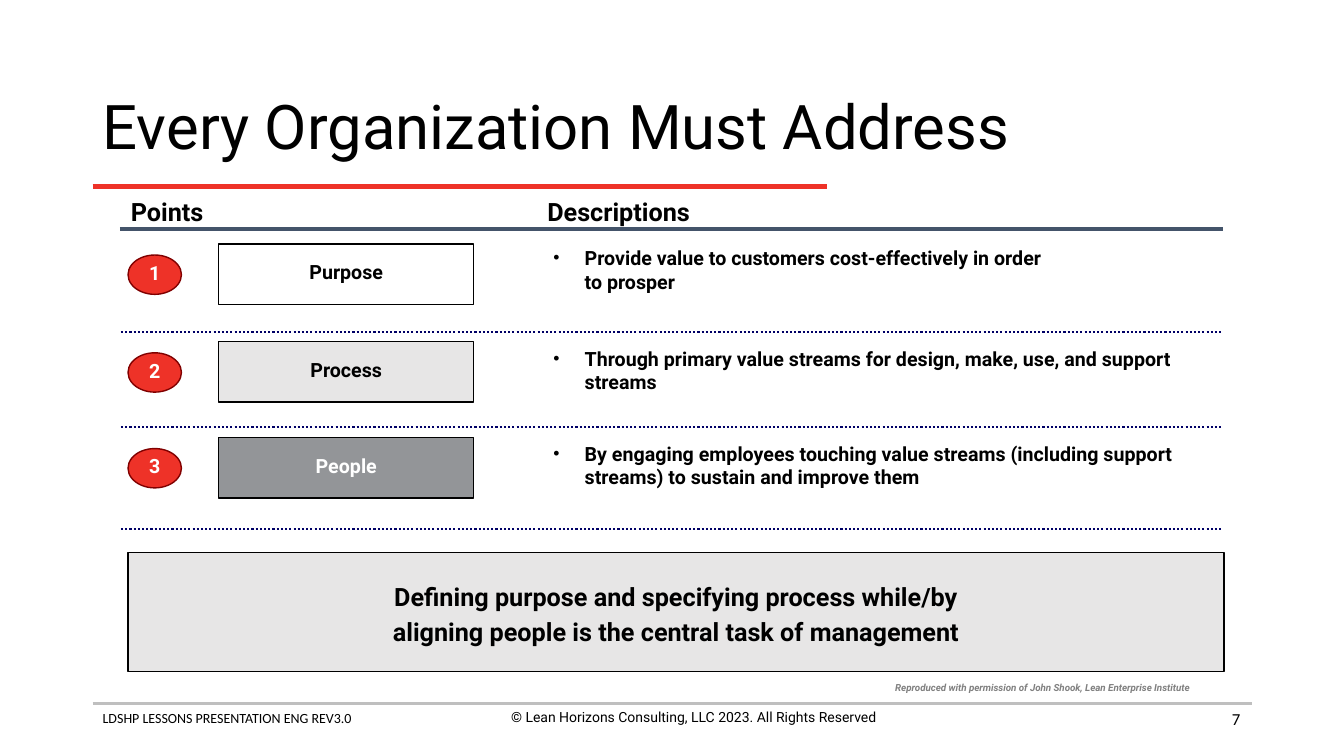
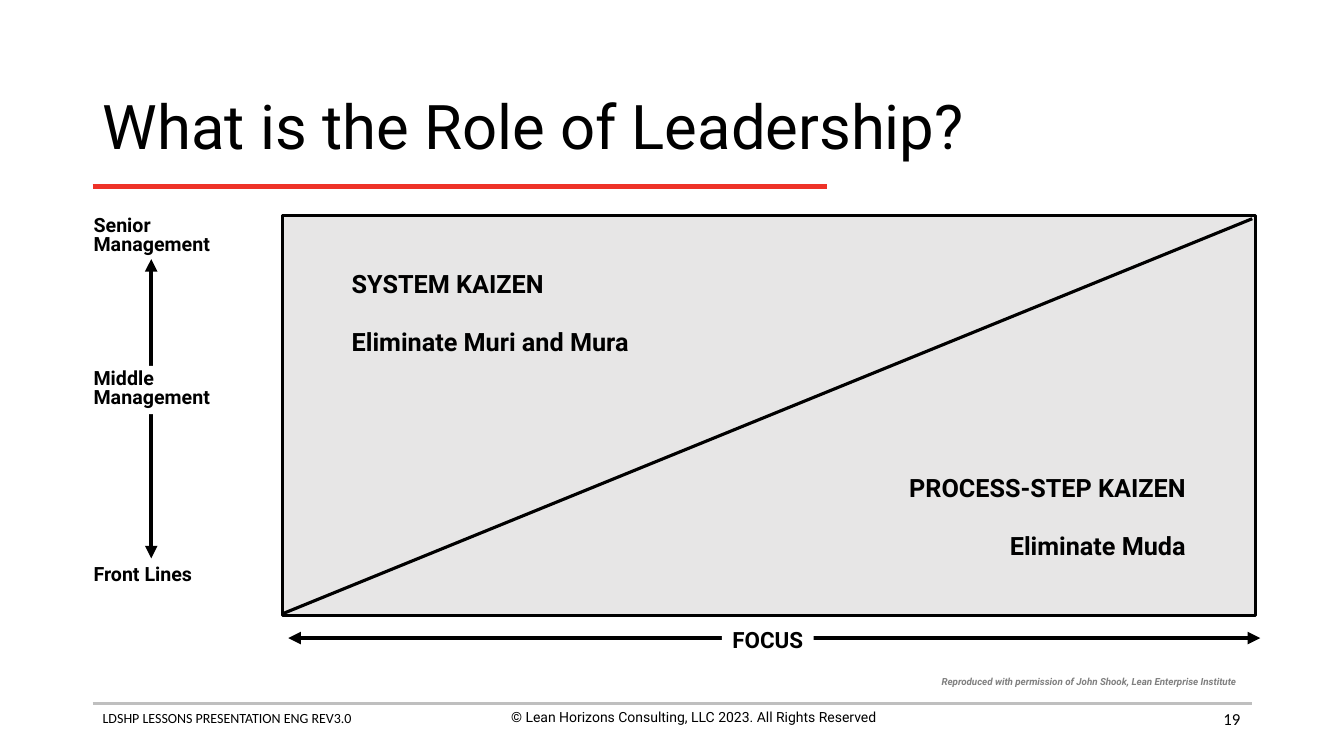
from lxml.etree import SubElement
from pptx import Presentation
from pptx.dml.color import RGBColor
from pptx.enum.dml import MSO_LINE as Dash
from pptx.enum.shapes import MSO_CONNECTOR as Connector, MSO_SHAPE as Shape
from pptx.enum.text import MSO_ANCHOR as Anchor, PP_ALIGN as Align
from pptx.oxml.ns import qn
from pptx.util import Inches, Pt

COLORS = {
    "black": "000000",
    "white": "FFFFFF",
    "red": "EE3228",
    "maroon": "800000",
    "navy": "000066",
    "slate": "44546A",
    "light": "E7E6E6",
    "gray": "939598",
    "rule": "BFBFBF",
    "note": "808080",
}
INSETS = (0.1, 0.05, 0.1, 0.05)
LABEL_INSETS = (0.1, 0.05, 0, 0.05)
NO_INSETS = (0, 0, 0, 0)


def rgb(name):
    return RGBColor.from_string(COLORS[name])


def set_bullet(para, hang):
    props = para._p.get_or_add_pPr()
    props.set("marL", str(Inches(hang)))
    props.set("indent", str(-Inches(hang)))
    color = SubElement(props, qn("a:buClr"))
    SubElement(color, qn("a:srgbClr"), val=COLORS["black"])
    SubElement(props, qn("a:buSzPct"), val="90000")
    SubElement(props, qn("a:buFont"), typeface="Arial")
    SubElement(props, qn("a:buChar"), char="•")


def write(box, texts, size, color="black", font="Roboto", bold=True, italic=False,
          align=Align.LEFT, anchor=Anchor.TOP, spacing=0.8, gap=0,
          insets=INSETS, bullet=None):
    frame = box.text_frame
    frame.word_wrap = True
    frame.vertical_anchor = anchor
    (frame.margin_left, frame.margin_top,
     frame.margin_right, frame.margin_bottom) = map(Inches, insets)
    for index, text in enumerate(texts):
        para = frame.add_paragraph() if index else frame.paragraphs[0]
        if bullet:
            set_bullet(para, bullet)
        para.alignment = align
        para.line_spacing = spacing
        if index:
            para.space_before = Pt(gap)
        for row, line in enumerate(text.split("\n")):
            if row:
                para.add_line_break()
            span = para.add_run()
            span.text = line
            span.font.name = font
            span.font.size = Pt(size)
            span.font.bold = bold
            span.font.italic = italic
            span.font.color.rgb = rgb(color)


def add_text(page, area, texts, size, **style):
    box = page.shapes.add_textbox(*map(Inches, area))
    write(box, texts, size, **style)


def add_box(page, kind, area, fill, outline=None, width=1):
    box = page.shapes.add_shape(kind, *map(Inches, area))
    box.shadow.inherit = False
    box.fill.solid()
    box.fill.fore_color.rgb = rgb(fill)
    if outline:
        box.line.color.rgb = rgb(outline)
        box.line.width = Pt(width)
    else:
        box.line.fill.background()
    return box


def add_line(page, start, end, color, width, dash=None, arrows=False):
    line = page.shapes.add_connector(Connector.STRAIGHT, *map(Inches, start + end))
    line.line.color.rgb = rgb(color)
    line.line.width = Pt(width)
    if dash:
        line.line.dash_style = dash
    props = line.element.spPr
    if arrows:
        for tag in ("a:headEnd", "a:tailEnd"):
            SubElement(props.find(qn("a:ln")), qn(tag), type="triangle")
    SubElement(props, qn("a:effectLst"))


def add_page(deck, title, number):
    page = deck.slides.add_slide(deck.slide_layouts[6])
    add_line(page, (0.92, 6.98), (12.42, 6.98), "rule", 2)
    add_text(page, (0.92, 6.99, 4.56, 0.27), ["LDSHP LESSONS PRESENTATION ENG REV3.0"],
             10, font="Calibri", bold=False, spacing=1)
    add_text(page, (4.6, 6.98, 4.56, 0.44),
             ["© Lean Horizons Consulting, LLC 2023. All Rights Reserved"],
             10, bold=False, align=Align.CENTER, spacing=1)
    add_line(page, (0.92, 1.85), (8.2, 1.85), "red", 3)
    add_text(page, (0.92, 0.74, 11.5, 1.1), [title], 44, bold=False,
             anchor=Anchor.MIDDLE, spacing=0.9)
    add_text(page, (9.4, 6.93, 3, 0.4), [number], 12, font="Calibri", bold=False,
             align=Align.RIGHT, anchor=Anchor.MIDDLE, spacing=1)
    return page


def add_credit(page, left, top):
    add_text(page, (left, top, 3.22, 0.2),
             ["Reproduced with permission of John Shook, Lean Enterprise Institute"],
             7, color="note", italic=True)


def add_point(page, number, name, fill, color, top, text_top, rule_top, description):
    centered = {"align": Align.CENTER, "anchor": Anchor.MIDDLE}
    card = add_box(page, Shape.RECTANGLE, (2.17, top, 2.53, 0.6), fill, "black")
    write(card, [name], 14, color=color, **centered)
    badge = add_box(page, Shape.OVAL, (1.27, top + 0.11, 0.53, 0.39), "red", "maroon")
    write(badge, [str(number)], 14, color="white", insets=NO_INSETS, **centered)
    add_text(page, (5.41, text_top, 6.6, 0.55), [description], 14, spacing=1,
             insets=(0.08, 0.04, 0.08, 0.04), bullet=0.31)
    add_line(page, (1.2, rule_top), (12.12, rule_top), "navy", 1.5, dash=Dash.ROUND_DOT)


def build_points(deck):
    page = add_page(deck, "Every Organization Must Address", "7")
    for left, heading in ((1.2, "Points"), (5.33, "Descriptions")):
        add_text(page, (left, 1.96, 2.5, 0.35), [heading], 18)
    add_line(page, (1.19, 2.27), (12.13, 2.27), "slate", 3)
    points = [
        ("Purpose", "white", "black", 2.42, 2.4, 3.29,
         "Provide value to customers cost-effectively in order\nto prosper"),
        ("Process", "light", "black", 3.39, 3.4, 4.24,
         "Through primary value streams for design, make, use, and support streams"),
        ("People", "gray", "white", 4.34, 4.34, 5.25,
         "By engaging employees touching value streams (including support streams) "
         "to sustain and improve them"),
    ]
    for number, point in enumerate(points, 1):
        add_point(page, number, *point)
    summary = add_box(page, Shape.RECTANGLE, (1.27, 5.48, 10.87, 1.18), "light", "black")
    write(summary, ["Defining purpose and specifying process while/by\n"
                    "aligning people is the central task of management"],
          18, align=Align.CENTER, anchor=Anchor.MIDDLE, spacing=1.15)
    add_credit(page, 8.78, 6.74)


def build_leadership(deck):
    page = add_page(deck, "What is the Role of Leadership?", "19")
    add_box(page, Shape.RECTANGLE, (2.8, 2.14, 9.65, 3.97), "light", "black", 2.25)
    add_line(page, (2.8, 6.09), (12.42, 2.17), "black", 2.25)
    add_line(page, (1.5, 2.57), (1.5, 5.54), "black", 3, arrows=True)
    add_line(page, (2.86, 6.33), (12.5, 6.33), "black", 3, arrows=True)
    for top, height, level in ((2.11, 0.48, "Senior\nManagement"),
                               (5.57, 0.29, "Front Lines")):
        add_text(page, (0.83, top, 1.37, height), [level], 14, insets=LABEL_INSETS)
    middle = add_box(page, Shape.RECTANGLE, (0.83, 3.63, 1.37, 0.48), "white")
    write(middle, ["Middle\nManagement"], 14, insets=LABEL_INSETS)
    focus = add_box(page, Shape.RECTANGLE, (7.16, 6.21, 0.91, 0.32), "white")
    write(focus, ["FOCUS"], 16, align=Align.CENTER, insets=(0, 0.05, 0, 0.05))
    for left, top, align, texts in (
        (3.39, 2.67, Align.LEFT, ["SYSTEM KAIZEN", "Eliminate Muri and Mura"]),
        (8.36, 4.69, Align.RIGHT, ["PROCESS-STEP KAIZEN", "Eliminate Muda"]),
    ):
        add_text(page, (left, top, 3.5, 0.95), texts, 18, align=align, gap=24.5)
    add_credit(page, 9.24, 6.68)


def main():
    deck = Presentation()
    deck.slide_width = Inches(13.33)
    deck.slide_height = Inches(7.5)
    build_points(deck)
    build_leadership(deck)
    deck.save("out.pptx")


if __name__ == "__main__":
    main()
